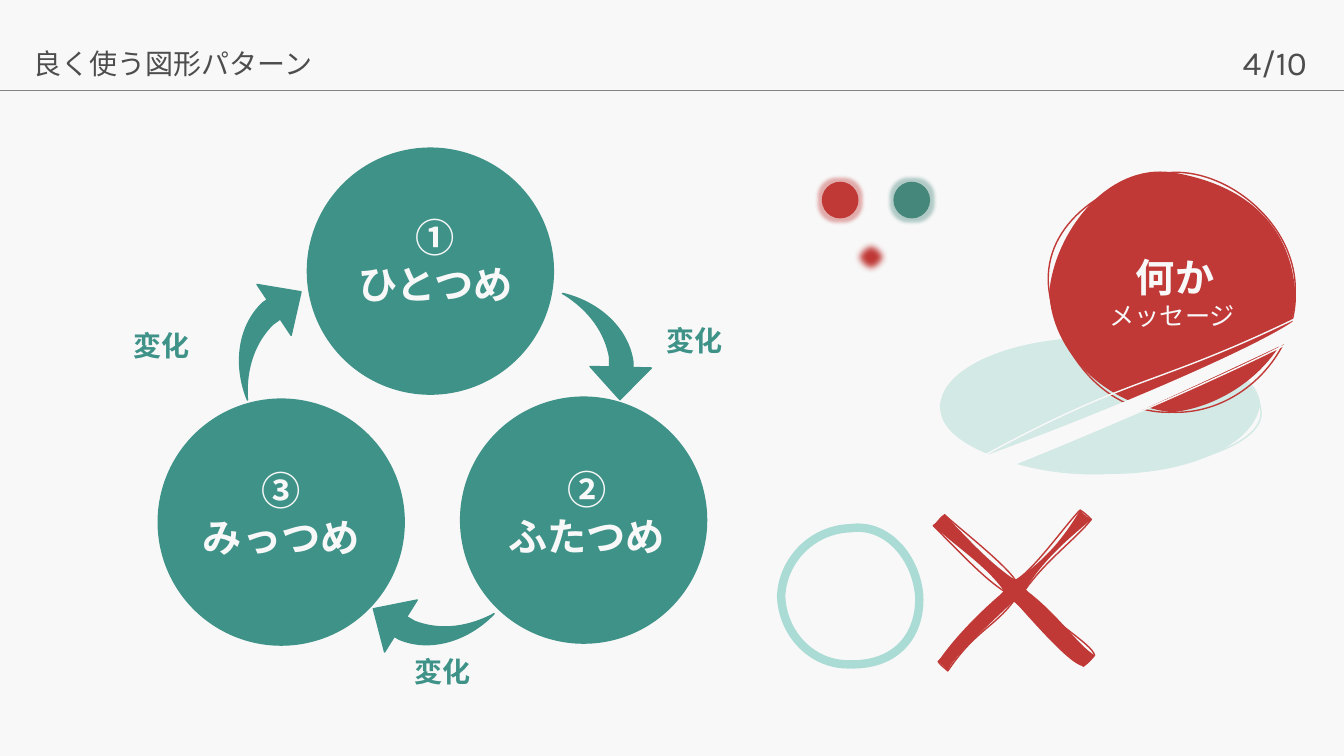
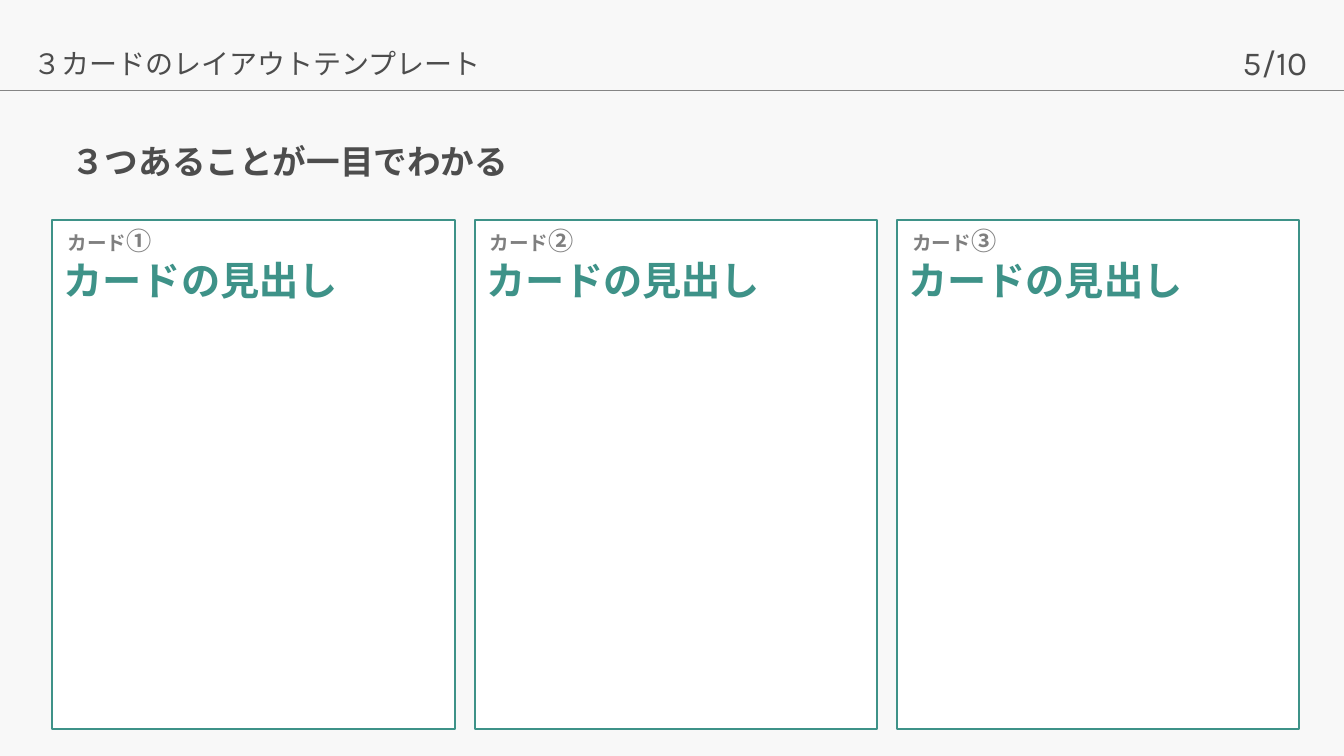
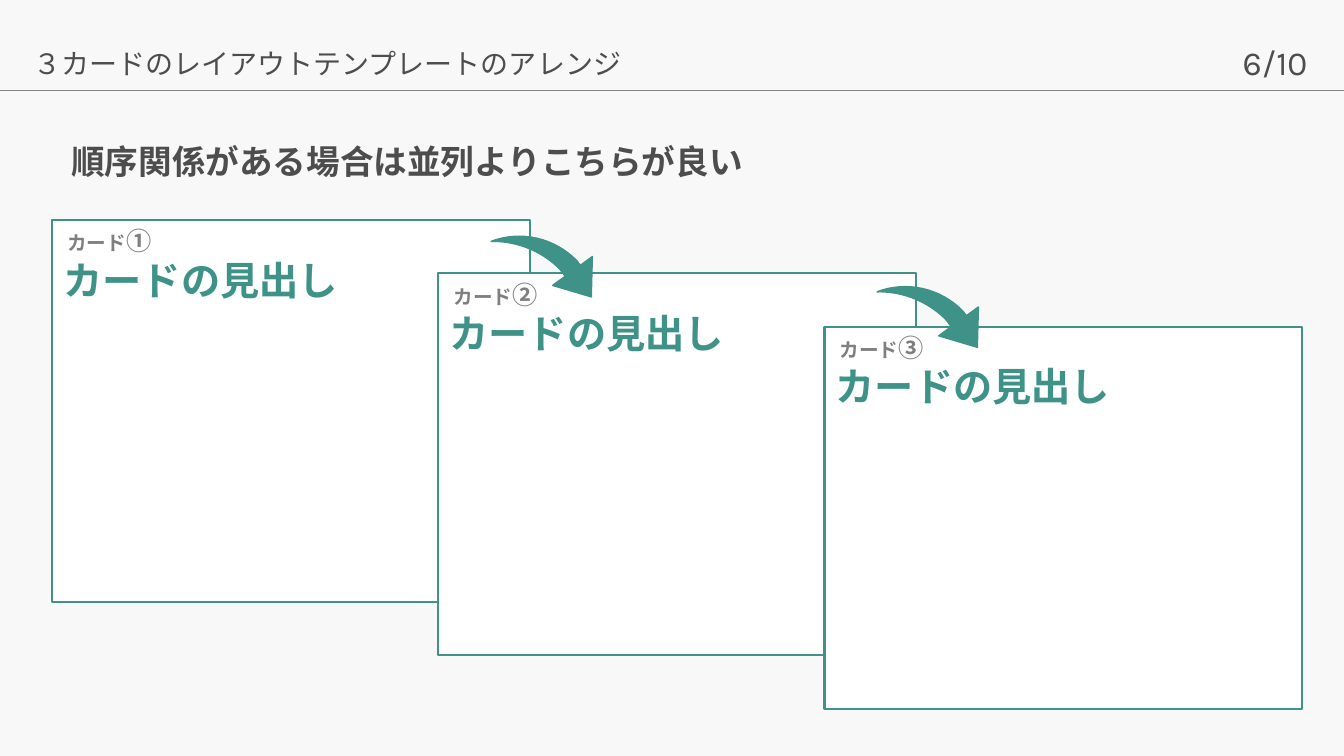
"""Build three slides of diagram and card layout patterns."""
from math import cos, radians, sin

from lxml.etree import SubElement
from pptx import Presentation
from pptx.dml.color import RGBColor
from pptx.enum.shapes import MSO_CONNECTOR as Link, MSO_SHAPE as Kind
from pptx.enum.text import MSO_ANCHOR as Anchor, PP_ALIGN as Align
from pptx.oxml.ns import qn
from pptx.util import Inches, Pt

COLS, ROWS = 40, 22.5
CELL = Inches(1) / 3
SANS, LATIN = "Noto Sans CJK JP", "Karla"
HUES = {
    "page": "F8F8F8", "ink": "4D4D4D", "rule": "858585", "note": "7F7F7F",
    "teal": "3E9288", "moss": "46877B", "mint": "AADBD5", "pale": "D3E9E5",
    "red": "C03936", "white": "FFFFFF",
}

TAIL = (
    [(.67, 1), (1, 1), (1, .91), (.01, 0), (0, 0), (.04, .02), (.67, .85)],
    [(), (), (.94, .48, .54, .12), (), (), (.39, .23, .61, .52), ()],
)
ROUND = [(0, .5), (.5, 0), (1, .5), (.5, 1)]
OVAL = (
    ROUND,
    [(.03, .16, .26, .01), (.79, .04, .99, .22), (1.04, .79, .75, .97), (.21, 1.01, .01, .73)],
    [(0, .23, .22, -.01), (.79, -.01, .99, .27), (.98, .79, .77, 1.02), (.23, .99, -.01, .78)],
)
BALL = (
    ROUND,
    [(-.04, .23, .21, .04), (.74, -.01, 1.01, .23), (1.01, .75, .78, 1.01), (.23, 1.01, .04, .76)],
    [(.02, .26, .23, -.04), (.79, .05, .98, .21), (1.01, .73, .77, .97), (.23, .97, .01, .75)],
)
RING = (
    ROUND,
    [(.01, .24, .22, .01), (.77, -.04, .98, .22), (1.01, .8, .82, 1.01), (.23, 1.01, .01, .78)],
)
SLASH = (
    [(0, .89), (.98, 0), (1, .11), (.02, 1)],
    [(.47, .36, .53, .45), (.98, .04, .99, .08), (.82, .31, .37, .72), (.02, .98, .01, .92)],
    [(.38, .61, .89, .16), (.98, .05, 1, .09), (.89, .21, .31, .79), (.02, .98, .01, .92)],
)
CROSS = (
    [(.07, .03), (.51, .45), (.91, 0), (.98, .06), (.57, .51), (1, .93),
     (.93, 1), (.5, .58), (.09, 1.03), (.03, .97), (.44, .52), (0, .1)],
    [(.14, .1, .44, .34), (.62, .39, .83, .08), (.94, .02, .95, .03), (.89, .18, .7, .32),
     (.74, .73, .98, .85), (.99, .94, .97, .97), (.81, .81, .58, .66), (.38, .75, .26, .77),
     (.07, 1.01, .04, .99), (.24, .77, .36, .63), (.33, .45, .18, .29), (.03, .08, .06, .04)],
    [(.23, .2, .35, .34), (.65, .35, .78, .23), (.92, .01, .94, .04), (.89, .14, .69, .3),
     (.77, .66, .89, .86), (.98, .96, .97, .97), (.85, .99, .64, .74), (.36, .72, .11, .95),
     (.08, 1.01, .05, .99), (.16, .77, .38, .57), (.33, .36, .16, .25), (.02, .08, .05, .03)],
)


def grid(*cells):
    """Turn grid cells into slide units."""
    return [round(cell * CELL) for cell in cells]


def tint(hue):
    """Look up a colour."""
    return RGBColor.from_string(HUES[hue])


def paint(shape, fill=None, line=None, width=1):
    """Set fill and line, and drop the shadow."""
    shape.shadow.inherit = False
    for part, hue in ((shape.fill, fill), (shape.line.fill, line)):
        if hue:
            part.solid()
            part.fore_color.rgb = tint(hue)
        else:
            part.background()
    if line:
        shape.line.width = Pt(width)
    return shape


def write(frame, rows, hue, align=Align.LEFT, space=1, face=SANS):
    """Fill a frame with rows of (text, size, bold) pieces."""
    frame.word_wrap = True
    frame.text = "\n".join(row[0][0] for row in rows)
    for para, row in zip(frame.paragraphs, rows):
        para.alignment, para.line_spacing = align, space
        for piece in row[1:]:
            para.add_run().text = piece[0]
        for run, (_, size, bold) in zip(para.runs, row):
            font = run.font
            font.size, font.bold, font.name = Pt(size), bold, face
            font.color.rgb = tint(hue)
            SubElement(run._r.get_or_add_rPr(), qn("a:ea"), typeface=face)


def label(slide, box, rows, hue, anchor=Anchor.TOP, **style):
    """Add a text box."""
    frame = slide.shapes.add_textbox(*grid(*box)).text_frame
    frame.vertical_anchor = anchor
    write(frame, rows, hue, **style)


def solid(slide, kind, box, hue):
    """Add a preset shape of one colour."""
    return paint(slide.shapes.add_shape(kind, *grid(*box)), hue, hue)


def curve(slide, box, nodes, bends):
    """Add a closed outline given in shares of its box, bending its sides."""
    x, y, w, h = box
    dots = [grid(x + w * a, y + h * b) for a, b in nodes]
    pen = slide.shapes.build_freeform(*dots[0])
    pen.add_line_segments(dots[1:] + dots[:1], close=True)
    shape = pen.convert_to_shape()
    for side, bend in zip(list(shape._element.iter(qn("a:lnTo"))), bends):
        if bend:
            end = side[0]
            for a, b in (bend[:2], bend[2:]):
                px, py = grid(x + w * a, y + h * b)
                SubElement(side, qn("a:pt"), x=str(px - shape.left), y=str(py - shape.top))
            side.append(end)
            side.tag = qn("a:cubicBezTo")
    return shape


def sketch(slide, box, form, hue):
    """Add a hand-drawn form: a loose line and a body."""
    nodes, loose, body = form
    paint(curve(slide, box, nodes, loose), line=hue)
    return paint(curve(slide, box, nodes, body), fill=hue)


def arrow(slide, x, y, w, h, turn):
    """Add a curved arrow whose tail is centred at x, y."""
    angle = radians(turn)
    dx, dy = .32 * w, .69 * h
    hx = x + dx * cos(angle) - dy * sin(angle)
    hy = y + dx * sin(angle) + dy * cos(angle)
    hw, hh = .87 * w, .43 * h
    head = solid(slide, Kind.ISOSCELES_TRIANGLE, (hx - hw / 2, hy - hh / 2, hw, hh), "teal")
    head.rotation = (turn + 181.4) % 360
    tail = curve(slide, (x - w / 2, y - h / 2, w, h), *TAIL)
    paint(tail, "teal", "teal").rotation = turn


def blur(shape, hue=None):
    """Add a glow of a colour, or else a soft edge."""
    effects = shape._element.spPr.find(qn("a:effectLst"))
    name = "a:glow" if hue else "a:softEdge"
    effect = SubElement(effects, qn(name), rad=str(Pt(5)))
    if hue:
        color = SubElement(effect, qn("a:srgbClr"), val=HUES[hue])
        SubElement(color, qn("a:alpha"), val="40000")


def page(deck, number, topic, title=None):
    """Add a slide with its header, number and optional title."""
    slide = deck.slides.add_slide(deck.slide_layouts[6])
    label(slide, (36.69, 1.11, 3.33, 1.5), [[(f"{number}/10", 24, False)]], "ink", face=LATIN)
    rule = slide.shapes.add_connector(Link.STRAIGHT, *grid(0, 2.7, COLS, 2.7))
    rule.line.color.rgb, rule.line.width = tint("rule"), Pt(1)
    SubElement(rule._element.spPr, qn("a:effectLst"))
    label(slide, (.69, 1.14, 37.59, 1.53), [[(topic, 20, False)]], "ink", space=1.1)
    if title:
        label(slide, (1.83, 3.33, 37.26, 3.09), [[(title, 24, True)]], "ink",
              Anchor.MIDDLE, space=.9)
    return slide


def cards(slide, w, h, dx, dy):
    """Add three headed cards, each one step on from the last."""
    for i, mark in enumerate("①②③"):
        x, y = 1.56 + i * dx, 6.54 + i * dy
        card = slide.shapes.add_shape(Kind.RECTANGLE, *grid(x, y, w, h))
        paint(card, "white", "teal", 1.5)
        label(slide, (x + .15, y + .03, w / 2, 1.2),
              [[("カード", 14, True), (mark, 18, True)]], "note")
        label(slide, (x + .04, y + .93, w - .3, 1.71), [[("カードの見出し", 28, True)]], "teal")


def cycle(slide):
    """Add three discs joined by arrows."""
    discs = [
        ("①", "ひとつめ", (9.15, 4.41), (9.03, 6.21)),
        ("③", "みっつめ", (4.71, 11.88), (4.44, 13.74)),
        ("➁", "ふたつめ", (13.71, 11.82), (13.53, 13.71)),
    ]
    for mark, name, disc, spot in discs:
        solid(slide, Kind.OVAL, (*disc, 7.32, 7.32), "teal")
        label(slide, (*spot, 7.86, 3.12), [[(mark, 28, True)], [(name, 28, True)]],
              "page", align=Align.CENTER)
    for x, y, turn in ((17.79, 9.86, 0), (13.2, 18.59, 120.7), (7.68, 10.4, 234.7)):
        arrow(slide, x, y, 2.1, 2.25, turn)
    for spot in ((17.88, 9.48), (10.38, 19.32), (2.01, 9.63)):
        label(slide, (*spot, 5.58, 1.32), [[("変化", 20, True)]], "teal", align=Align.CENTER)


def marks(slide):
    """Add the dots and the hand-drawn forms."""
    for x, hue in ((24.48, "red"), (26.61, "moss")):
        blur(solid(slide, Kind.OVAL, (x, 5.43, 1.05, 1.05), hue), hue)
    blur(solid(slide, Kind.OVAL, (25.35, 7.11, 1.14, 1.08), "red"))
    sketch(slide, (27.99, 10.05, 9.51, 4.05), OVAL, "pale")
    ball = sketch(slide, (31.23, 5.13, 7.32, 7.14), BALL, "red")
    ball.text_frame.vertical_anchor = Anchor.MIDDLE
    write(ball.text_frame, [[(" ", 18, True), ("何か", 28, True)], [("メッセージ", 18, False)]],
          "page", Align.CENTER)
    sketch(slide, (29.19, 9.42, 9.69, 4.71), SLASH, "page")
    sketch(slide, (27.78, 15.18, 4.8, 4.65), CROSS, "red")
    paint(curve(slide, (23.25, 15.72, 4.11, 4.05), *RING), line="mint", width=6)


def main():
    """Build and save the deck."""
    deck = Presentation()
    deck.slide_width, deck.slide_height = grid(COLS, ROWS)
    back = deck.slide_master.background.fill
    back.solid()
    back.fore_color.rgb = tint("page")

    shapes = page(deck, 4, "良く使う図形パターン")
    cycle(shapes)
    marks(shapes)

    topic = "３カードのレイアウトテンプレート"
    row = page(deck, 5, topic, "３つあることが一目でわかる")
    cards(row, 11.97, 15.15, 12.57, 0)

    stair = page(deck, 6, topic + "のアレンジ", "順序関係がある場合は並列よりこちらが良い")
    cards(stair, 14.22, 11.37, 11.49, 1.59)
    for i in range(2):
        arrow(stair, 15.96 + i * 11.49, 7.56 + i * 1.5, 1.68, 2.22, 322.6)

    deck.save("out.pptx")


if __name__ == "__main__":
    main()
